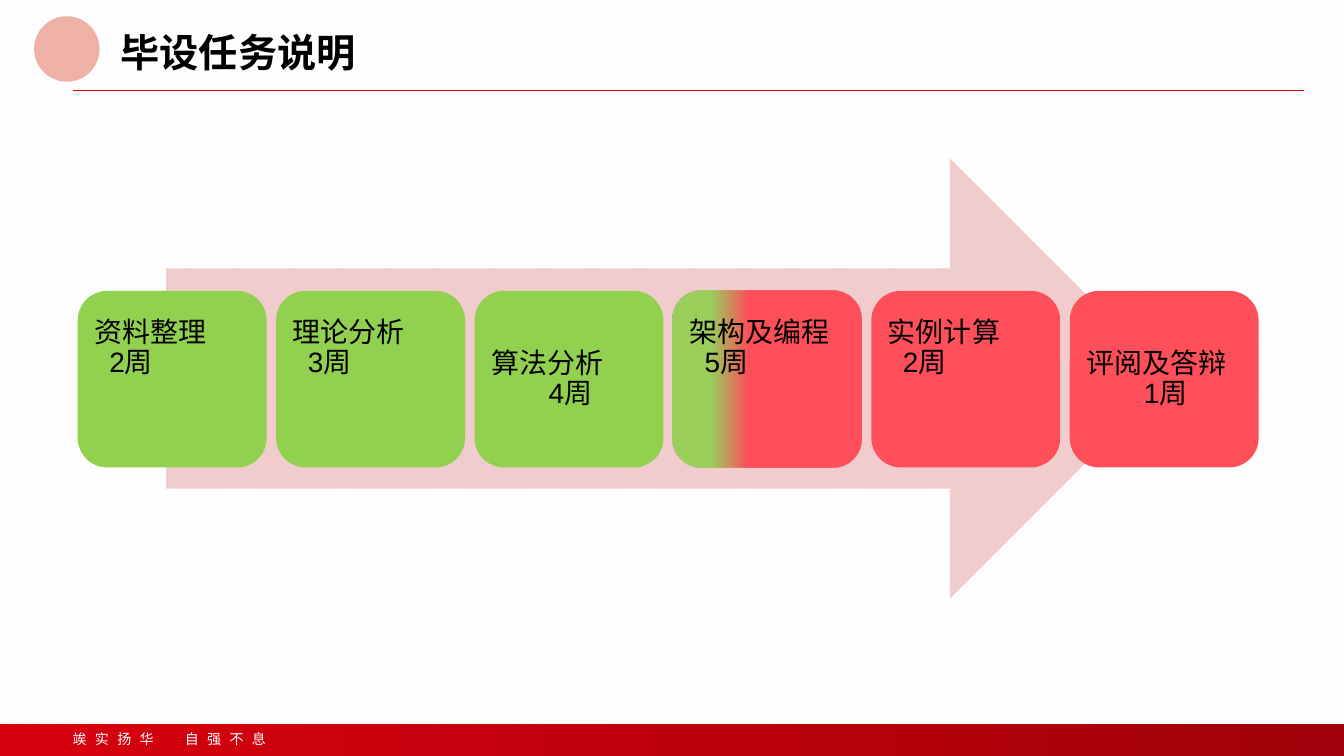
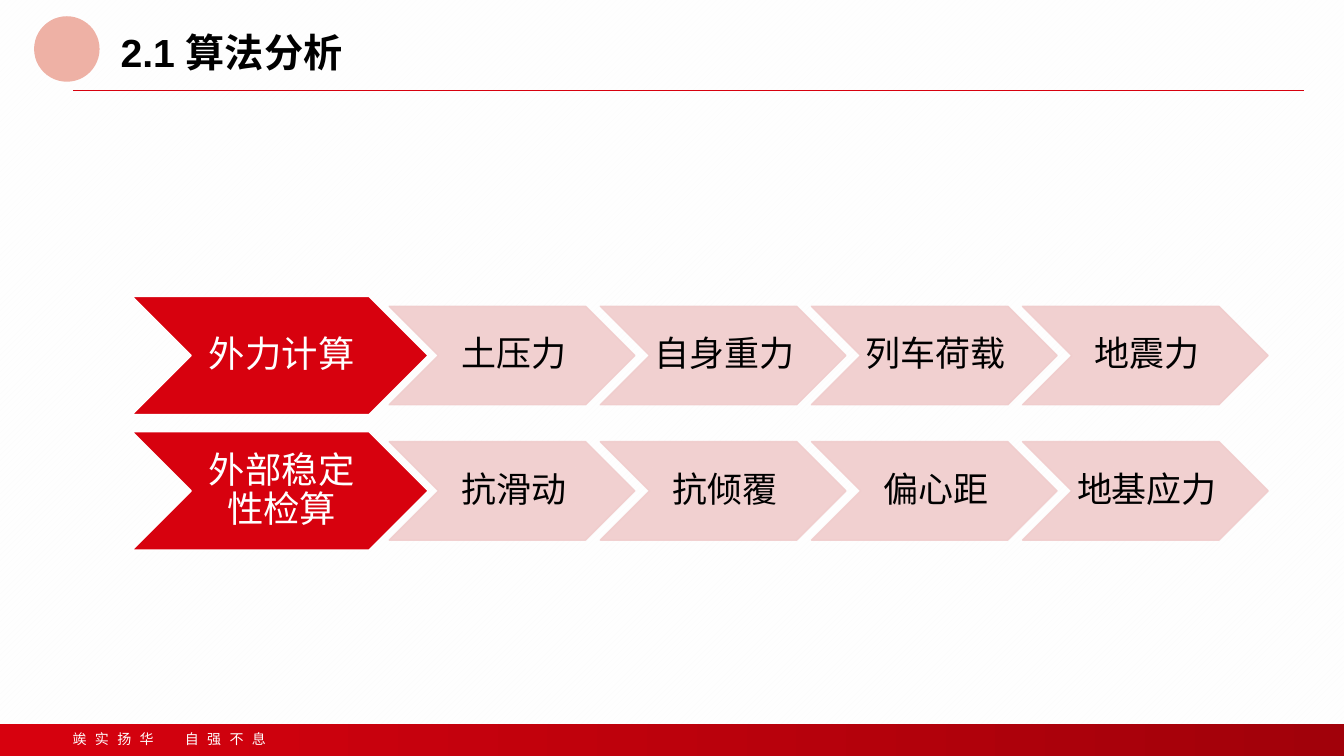
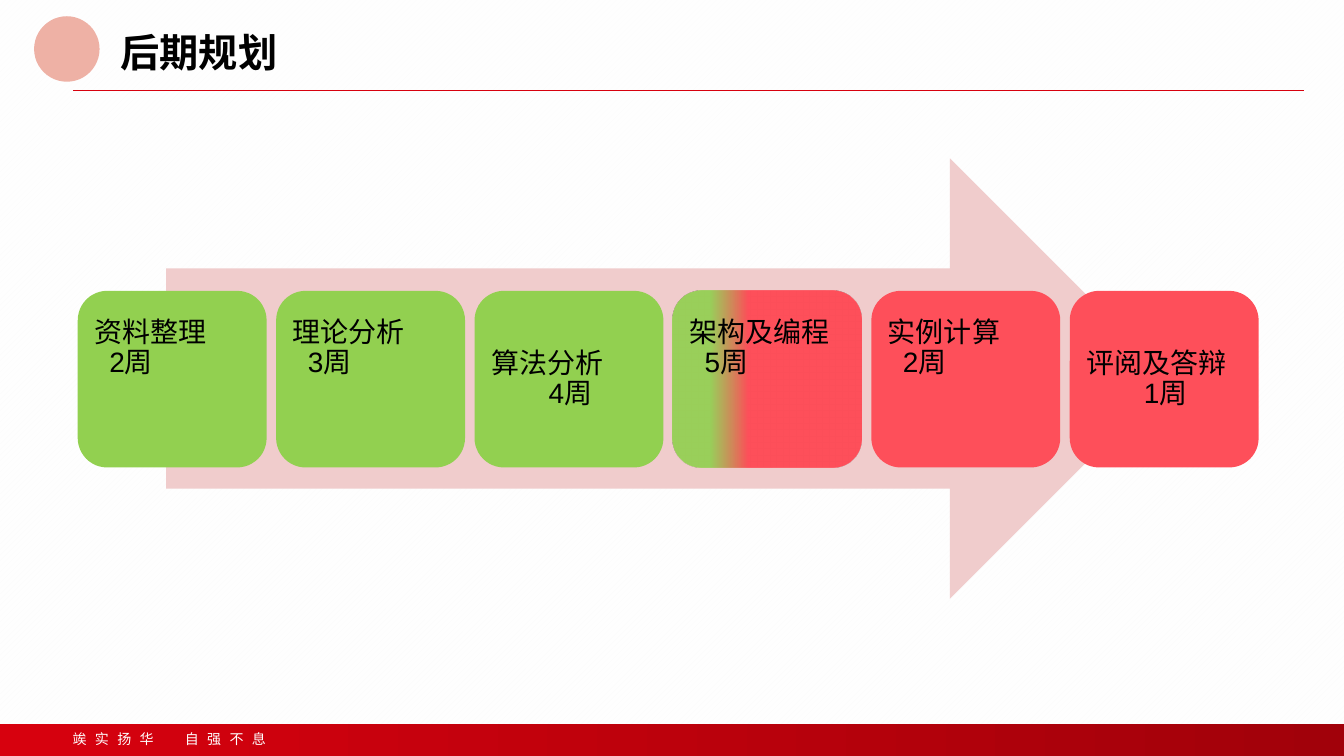
import pptx
import pptx.util
import pptx.dml.color
import pptx.enum.dml
import pptx.enum.shapes
import pptx.enum.text
import pptx.oxml.ns
from lxml import etree

Cm, Pt = pptx.util.Cm, pptx.util.Pt
Kind = pptx.enum.shapes.MSO_SHAPE
Align = pptx.enum.text.PP_ALIGN
Anchor = pptx.enum.text.MSO_ANCHOR
qn = pptx.oxml.ns.qn

RED, DARK, PINK, ROSE = "D7010E", "A1010A", "F0CCCC", "EEB1A5"
GREEN, CORAL, WHITE, BLACK = "92D050", "FE4F5A", "FFFFFF", "000000"
CJK = "Noto Sans CJK SC"
WIDE, HIGH = 33.87, 19.05


def paint(fill, *stops, turn=0):
    """Fill with one (hex, opacity) stop, or blend two (hex, opacity, position) stops."""
    if len(stops) == 1:
        fill.solid()
        colors = [fill.fore_color]
    else:
        fill.gradient()
        fill.gradient_angle = turn
        colors = [mark.color for mark in fill.gradient_stops]
        for mark, stop in zip(fill.gradient_stops, stops):
            mark.position = stop[2]
    for color, stop in zip(colors, stops):
        color.rgb = pptx.dml.color.RGBColor.from_string(stop[0])
        if stop[1] < 100:
            node = etree.SubElement(color._xFill[0], qn("a:alpha"))
            node.set("val", str(stop[1] * 1000))


def write(shape, text, size=20, color=BLACK, font="Arial", bold=False, align=Align.LEFT,
          anchor=Anchor.MIDDLE, pads=(0.25, 0.13, 0.25, 0.13), lead=0.9, track=0,
          dent=0, tab=None):
    """Write one paragraph per line of text; dent indents every line but the first."""
    frame = shape.text_frame
    frame.word_wrap = True
    frame.vertical_anchor = anchor
    (frame.margin_left, frame.margin_top,
     frame.margin_right, frame.margin_bottom) = [Cm(pad) for pad in pads]
    for row, line in enumerate(text.split("\n")):
        para = frame.add_paragraph() if row else frame.paragraphs[0]
        para.alignment = align
        para.line_spacing = lead
        props = para._p.get_or_add_pPr()
        if row and dent:
            props.set("marL", str(Cm(dent)))
        if tab:
            tabs = etree.SubElement(props, qn("a:tabLst"))
            etree.SubElement(tabs, qn("a:tab"), pos=str(Cm(tab)), algn="l")
        run = para.add_run()
        run.text = line
        run.font.size, run.font.bold, run.font.name = Pt(size), bold, font
        paint(run.font.fill, (color, 100))
        mark = run._r.get_or_add_rPr()
        etree.SubElement(mark, qn("a:ea"), typeface=CJK)
        if track:
            mark.set("spc", str(track * 100))


deck = pptx.Presentation()
deck.slide_width, deck.slide_height = Cm(WIDE), Cm(HIGH)

# Shared frame: background, footer band, title and rule
pages = []
for title in ("毕设任务说明", "2.1 算法分析", "后期规划"):
    page = deck.slides.add_slide(deck.slide_layouts[6])
    pages.append(page)
    back = page.background.fill
    back.patterned()
    back.pattern = pptx.enum.dml.MSO_PATTERN.WIDE_UPWARD_DIAGONAL
    back.fore_color.rgb = pptx.dml.color.RGBColor.from_string("F2F2F2")
    back.back_color.rgb = pptx.dml.color.RGBColor.from_string(WHITE)

    veil = page.shapes.add_shape(Kind.RECTANGLE, 0, 0, Cm(WIDE), Cm(HIGH))
    paint(veil.fill, (WHITE, 85, 0), (WHITE, 70, 1), turn=270)
    band = page.shapes.add_shape(Kind.RECTANGLE, 0, Cm(18.25), Cm(WIDE), Cm(0.8))
    paint(band.fill, (RED, 100, 0), (DARK, 100, 1))
    dot = page.shapes.add_shape(Kind.OVAL, Cm(0.86), Cm(0.41), Cm(1.65), Cm(1.65))
    paint(dot.fill, (ROSE, 100))
    for shape in (veil, band, dot):
        shape.line.fill.background()
        shape.shadow.inherit = False

    rule = page.shapes.add_connector(pptx.enum.shapes.MSO_CONNECTOR.STRAIGHT,
                                     Cm(1.84), Cm(2.27), Cm(32.86), Cm(2.27))
    paint(rule.line.fill, (RED, 100))
    rule.line.width = Pt(0.5)
    etree.SubElement(rule._element.spPr, qn("a:effectLst"))

    motto = page.shapes.add_textbox(Cm(1.58), Cm(18.29), Cm(6.2), Cm(0.68))
    write(motto, "竢实扬华\t自强不息", size=10, color=WHITE, font=CJK, lead=1.0,
          anchor=Anchor.TOP, track=6, tab=2.83)
    head = page.shapes.add_textbox(Cm(2.79), Cm(0.71), Cm(30.18), Cm(2.26))
    write(head, title, size=28, bold=True, anchor=Anchor.TOP)

# Timeline: task, weeks, fill stops, whether the text sits high in its card
half = ((GREEN, 91, 0.2), (CORAL, 100, 0.4))
done, todo = ((GREEN, 100),), ((CORAL, 100),)
tasks = [
    ("资料整理", 2, done, True),
    ("理论分析", 3, done, True),
    ("算法分析", 4, done, False),
    ("架构及编程", 5, half, True),
    ("实例计算", 2, todo, True),
    ("评阅及答辩", 1, todo, False),
]
for page in (pages[0], pages[2]):
    arrow = page.shapes.add_shape(Kind.RIGHT_ARROW, Cm(4.19), Cm(3.99), Cm(25.3), Cm(11.1))
    paint(arrow.fill, (PINK, 100))
    arrow.line.fill.background()
    arrow.shadow.inherit = False
    for col, (task, weeks, stops, high) in enumerate(tasks):
        card = page.shapes.add_shape(Kind.ROUNDED_RECTANGLE, Cm(1.96 + 5 * col), Cm(7.33),
                                     Cm(4.76), Cm(4.45))
        paint(card.fill, *stops)
        card.line.fill.background()
        card.shadow.inherit = False
        write(card, f"{task}\n{weeks}周", dent=0.38 if high else 1.45,
              pads=(0.2, 0.2, 0.2, 1.75 if high else 0.2))

# Chevron chains: a red lead, then its steps
chains = [
    ("外力计算", "土压力", "自身重力", "列车荷载", "地震力"),
    ("外部稳定性检算", "抗滑动", "抗倾覆", "偏心距", "地基应力"),
]
for row, chain in enumerate(chains):
    top = 7.47 + 3.41 * row
    for col, label in enumerate(chain):
        if col == 0:
            place, fill, edge = (3.33, top, 7.46, 2.98), (RED, 100), (WHITE, 100)
            size, color = 26, WHITE
        else:
            place = (9.81 + 5.32 * (col - 1), top + 0.25, 6.19, 2.48)
            fill = edge = (PINK, 90)
            size, color = 25, BLACK
        step = pages[1].shapes.add_shape(Kind.CHEVRON, *[Cm(side) for side in place])
        paint(step.fill, fill)
        paint(step.line.fill, edge)
        step.line.width = Pt(1)
        step.shadow.inherit = False
        write(step, label, size=size, color=color, align=Align.CENTER,
              pads=(0.08, 0.05, 0, 0.05))

deck.save("out.pptx")
